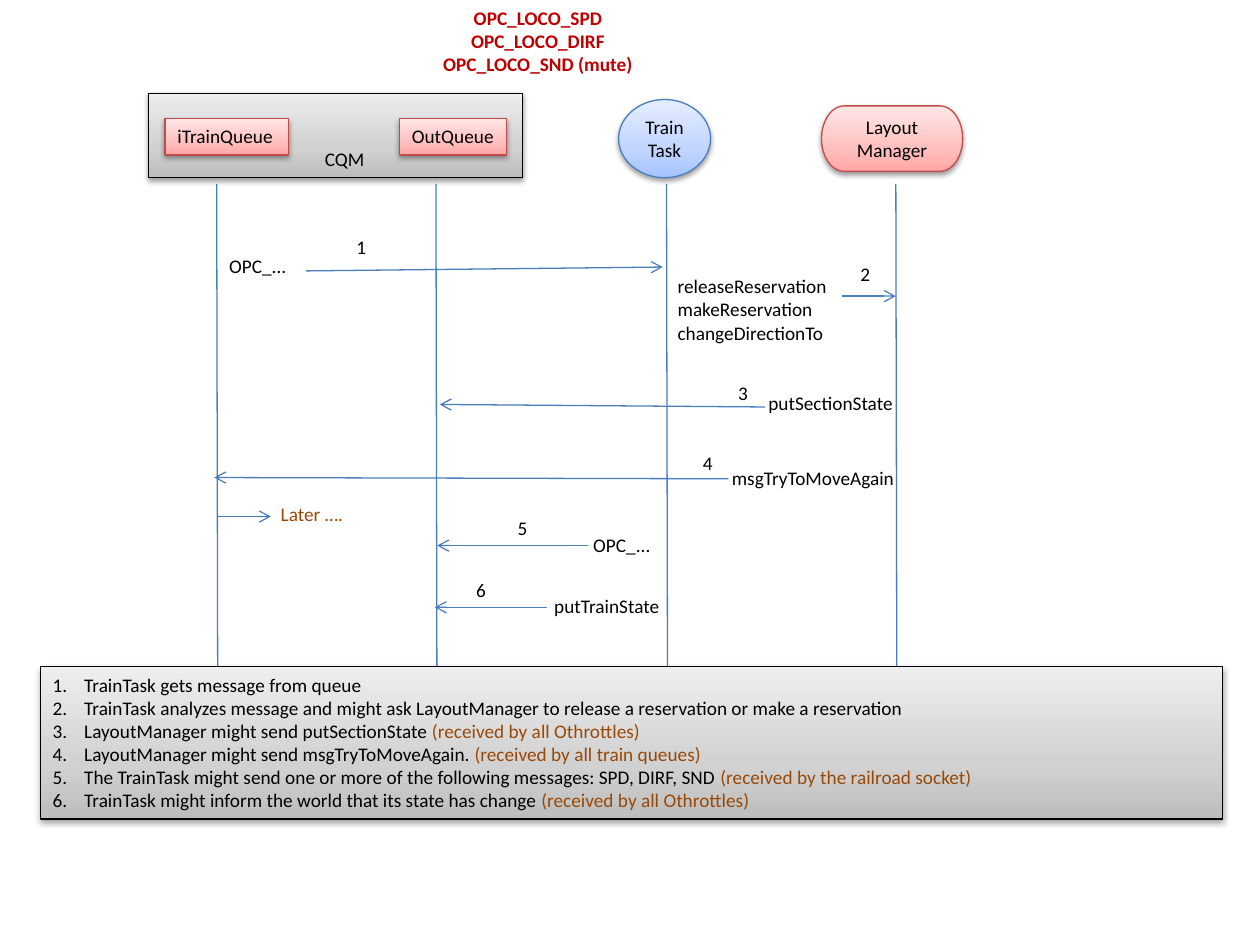
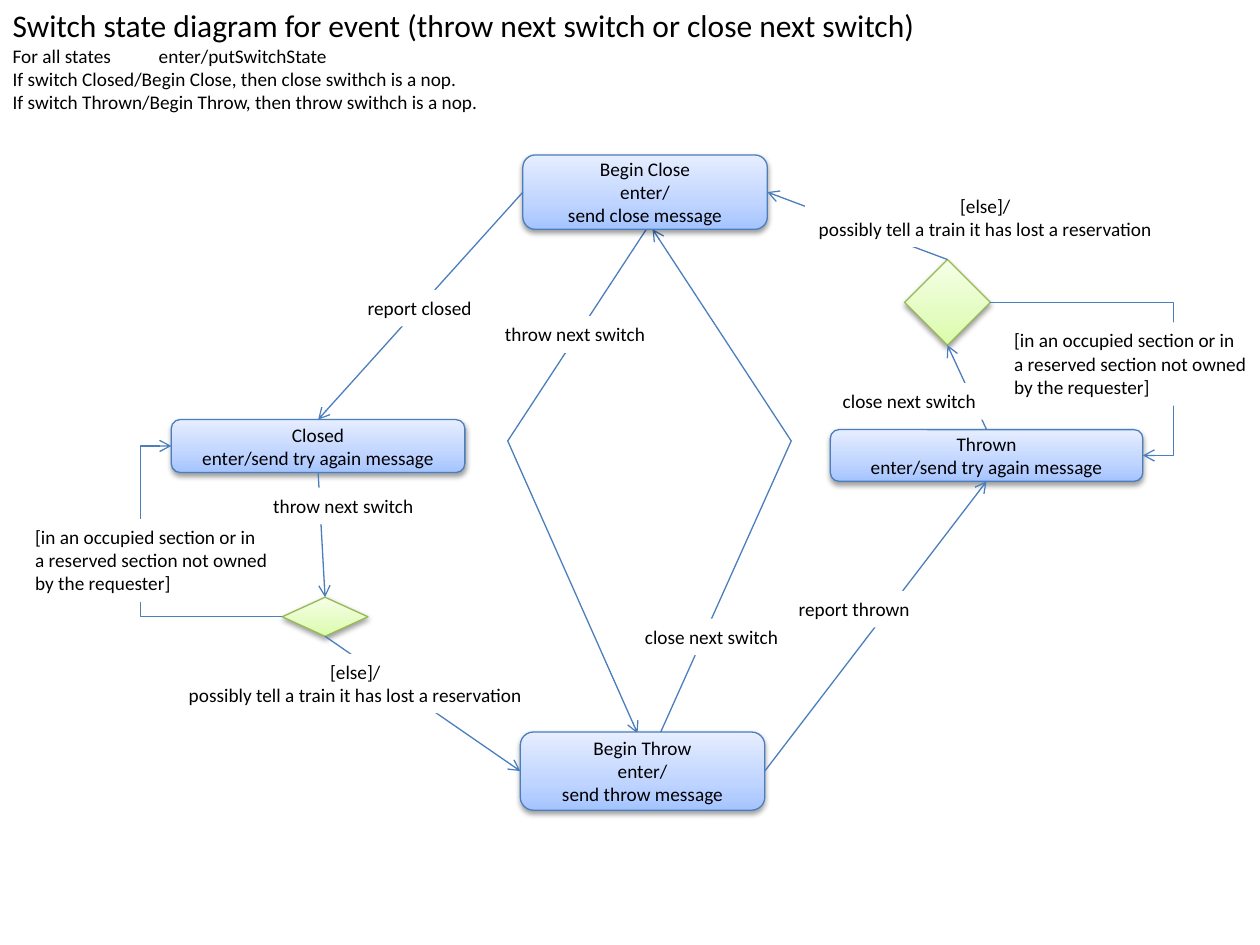
from copy import deepcopy

from lxml.etree import SubElement
from pptx import Presentation
from pptx.dml.color import RGBColor
from pptx.enum.shapes import MSO_CONNECTOR, MSO_SHAPE
from pptx.enum.text import MSO_ANCHOR, MSO_AUTO_SIZE, PP_ALIGN
from pptx.oxml.ns import qn
from pptx.util import Inches, Pt

FONT = "Calibri"
BODY_SIZE = 11
BLACK, WHITE, RED, BROWN, BLUE = "000000", "FFFFFF", "C00000", "984807", "4B7EBC"

# Outline colour, then gradient colours from the bottom of the shape to its top
GREY_STYLE = (BLACK, ("BDBDBD", "D1D1D1", "EEEEEE"))
RED_STYLE = ("BF4C48", ("FFA6A5", "FFC0BF", "FFE7E7"))
BLUE_STYLE = (BLUE, ("A4C4FF", "BFD4FF", "E6EEFF"))
GREEN_STYLE = ("98B955", ("DAFDA7", "E4FCC2", "F5FFE7"))
GRADIENT_POSITIONS = (0, 0.35, 1)

TOP, LEFT, BOTTOM, RIGHT = range(4)


def color(hex_text):
    return RGBColor.from_string(hex_text)


def inches(values):
    return [Inches(value) for value in values]


class DiagramDeck:
    """Holds the deck, its style and the slide being drawn."""

    def __init__(self):
        self.deck = Presentation()
        self.deck.slide_width, self.deck.slide_height = Inches(10), Inches(7.5)
        self.page = None

    def new_page(self):
        self.page = self.deck.slides.add_slide(self.deck.slide_layouts[5])

    def fill_text(self, shape, lines, align=PP_ALIGN.LEFT, anchor=MSO_ANCHOR.TOP,
                  wrap=True, fit=False, ink=BLACK, bold=False):
        """Each line is a string, or a list of (text, colour) spans."""
        frame = shape.text_frame
        frame.word_wrap = wrap
        frame.vertical_anchor = anchor
        frame.auto_size = MSO_AUTO_SIZE.SHAPE_TO_FIT_TEXT if fit else MSO_AUTO_SIZE.NONE
        for index, line in enumerate(lines):
            para = frame.add_paragraph() if index else frame.paragraphs[0]
            para.alignment = align
            para.font.name, para.font.size, para.font.bold = FONT, Pt(BODY_SIZE), bold
            para.font.color.rgb = color(ink)
            for text, span_ink in [(line, ink)] if isinstance(line, str) else line:
                span = para.add_run()
                span.text = text
                if span_ink != ink:
                    span.font.color.rgb = color(span_ink)
        return frame.paragraphs

    def title(self, area, lines, **text_style):
        box = self.page.shapes.title
        box.left, box.top, box.width, box.height = inches(area)
        return self.fill_text(box, lines, **text_style)

    def label(self, area, *lines, wrap=False, back=None, **text_style):
        box = self.page.shapes.add_textbox(*inches(area))
        if back:
            box.fill.solid()
            box.fill.fore_color.rgb = color(back)
        self.fill_text(box, lines, wrap=wrap, fit=True, **text_style)

    def node(self, kind, area, style, *lines, align=PP_ALIGN.CENTER,
             anchor=MSO_ANCHOR.MIDDLE, **text_style):
        shape = self.page.shapes.add_shape(kind, *inches(area))
        outline, shades = style
        shape.line.color.rgb = color(outline)
        shape.line.width = Pt(0.75)
        # Three-stop gradient running upwards
        shape.fill.gradient()
        shape.fill.gradient_angle = 90
        stops = shape.element.spPr.find(".//" + qn("a:gsLst"))
        stops.insert(1, deepcopy(stops[0]))
        for stop, shade, position in zip(shape.fill.gradient_stops, shades, GRADIENT_POSITIONS):
            stop.color.rgb = color(shade)
            stop.position = position
        # Soft shadow below
        shape.shadow.inherit = False
        effects = shape.element.spPr.find(qn("a:effectLst"))
        shadow = SubElement(effects, qn("a:outerShdw"), blurRad="40000", dist="20000",
                            dir="5400000", rotWithShape="0")
        black = SubElement(shadow, qn("a:srgbClr"), val=BLACK)
        SubElement(black, qn("a:alpha"), val="38000")
        if lines:
            return shape, self.fill_text(shape, lines, align, anchor, **text_style)
        return shape, []

    def stroke(self, shape, arrow):
        shape.line.color.rgb = color(BLUE)
        shape.line.width = Pt(0.75)
        if arrow:
            outline = shape.element.spPr.find(qn("a:ln"))
            SubElement(outline, qn("a:tailEnd"), type="arrow")
        SubElement(shape.element.spPr, qn("a:effectLst"))

    def line(self, start, end, arrow=True):
        connector = self.page.shapes.add_connector(
            MSO_CONNECTOR.STRAIGHT, *inches(start + end))
        self.stroke(connector, arrow)

    def link(self, source, source_side, target, target_side, bend=None):
        """Join two shapes; bend is the elbow's reach as a share of its width."""
        kind = MSO_CONNECTOR.ELBOW if bend else MSO_CONNECTOR.STRAIGHT
        connector = self.page.shapes.add_connector(kind, 0, 0, 0, 0)
        connector.begin_connect(source, source_side)
        connector.end_connect(target, target_side)
        if bend:
            guides = connector.element.spPr.find(".//" + qn("a:avLst"))
            SubElement(guides, qn("a:gd"), name="adj1", fmla=f"val {round(bend * 100000)}")
        self.stroke(connector, True)

    def bent_arrow(self, *points):
        start, *rest = [tuple(inches(point)) for point in points]
        builder = self.page.shapes.build_freeform(*start)
        builder.add_line_segments(rest, close=False)
        shape = builder.convert_to_shape()
        shape.fill.background()
        self.stroke(shape, True)

    def number(self, paragraphs):
        for para in paragraphs:
            properties = para._p.get_or_add_pPr()
            properties.set("marL", str(Inches(0.25)))
            properties.set("indent", str(-Inches(0.25)))
            SubElement(properties, qn("a:buFont"), typeface="+mj-lt")
            SubElement(properties, qn("a:buAutoNum"), type="arabicPeriod")
            # Bullets come before the default run properties
            properties.append(properties.find(qn("a:defRPr")))


def build_message_sequence(diagram):
    diagram.new_page()
    diagram.title((2.51, 0, 3.52, 0.66),
                  ["OPC_LOCO_SPD", "OPC_LOCO_DIRF", "OPC_LOCO_SND (mute)"],
                  align=PP_ALIGN.CENTER, ink=RED, bold=True)

    # Participants
    diagram.node(MSO_SHAPE.RECTANGLE, (1.18, 0.74, 2.97, 0.67), GREY_STYLE)
    diagram.node(MSO_SHAPE.FLOWCHART_TERMINATOR, (6.52, 0.84, 1.12, 0.52), RED_STYLE,
                 "Layout", "Manager")
    diagram.node(MSO_SHAPE.FLOWCHART_CONNECTOR, (4.91, 0.79, 0.73, 0.62), BLUE_STYLE,
                 "Train", "Task")
    for left, width, queue in ((1.31, 0.98, "iTrainQueue"), (3.17, 0.85, "OutQueue")):
        diagram.node(MSO_SHAPE.RECTANGLE, (left, 0.94, width, 0.29), RED_STYLE, queue,
                     align=PP_ALIGN.LEFT, anchor=MSO_ANCHOR.TOP, wrap=False, fit=True)
    diagram.label((2.48, 1.12, 0.52, 0.29), "CQM")

    # Lifelines
    for x in (1.72, 3.46, 5.29, 7.11):
        diagram.line((x, 1.46), (x + 0.01, 6.46), arrow=False)

    # Message arrows
    for start, end in (
        ((2.43, 2.15), (5.26, 2.12)),
        ((6.68, 2.35), (7.11, 2.35)),
        ((6.07, 3.23), (3.49, 3.21)),
        ((5.78, 3.8), (1.7, 3.79)),
        ((4.67, 4.33), (3.47, 4.33)),
        ((4.34, 4.82), (3.45, 4.82)),
        ((1.73, 4.1), (2.15, 4.1)),
    ):
        diagram.line(start, end)

    # Step numbers
    steps = ((2.73, 1.82), (6.73, 2.03), (5.76, 2.98), (5.48, 3.53), (4.01, 4.05), (3.68, 4.54))
    for number, (left, top) in enumerate(steps, 1):
        diagram.label((left, top, 0.28, 0.29), str(number))

    # Message names
    for left, top, width, name in (
        (1.72, 1.97, 0.66, "OPC_..."),
        (6, 3.06, 1.2, "putSectionState"),
        (5.71, 3.65, 1.52, "msgTryToMoveAgain"),
        (4.61, 4.18, 0.66, "OPC_..."),
        (4.3, 4.67, 1.06, "putTrainState"),
    ):
        diagram.label((left, top, width, 0.29), name)
    diagram.label((5.28, 2.13, 1.4, 0.66),
                  "releaseReservation", "makeReservation", "changeDirectionTo")
    diagram.label((2.13, 3.94, 0.7, 0.29), "Later ….", ink=BROWN)

    # Numbered explanation
    explanation = [
        ("TrainTask gets message from queue", ""),
        ("TrainTask analyzes message and might ask LayoutManager to release a reservation "
         "or make a reservation", ""),
        ("LayoutManager might send putSectionState ", "(received by all Othrottles)"),
        ("LayoutManager might send msgTryToMoveAgain. ", "(received by all train queues)"),
        ("The TrainTask might send one or more of the following messages: SPD, DIRF, SND ",
         "(received by the railroad socket)"),
        ("TrainTask might inform the world that its state has change ",
         "(received by all Othrottles)"),
    ]
    lines = [[(action, BLACK), (receiver, BROWN)] if receiver else action
             for action, receiver in explanation]
    _, paragraphs = diagram.node(MSO_SHAPE.RECTANGLE, (0.32, 5.29, 9.38, 1.21), GREY_STYLE,
                                 *lines, align=PP_ALIGN.LEFT, anchor=MSO_ANCHOR.TOP, fit=True)
    diagram.number(paragraphs)


def build_switch_states(diagram):
    diagram.new_page()
    heading, all_states, *_ = diagram.title((0, 0, 7.44, 0.96), [
        "Switch state diagram for event (throw next switch or close next switch)",
        "For all states\tenter/putSwitchState",
        "If switch Closed/Begin Close, then close swithch is a nop.",
        "If switch Thrown/Begin Throw, then throw swithch is a nop.",
    ], wrap=False)
    heading.font.size = Pt(18)
    properties = all_states._p.get_or_add_pPr()
    tabs = SubElement(properties, qn("a:tabLst"))
    SubElement(tabs, qn("a:tab"), pos=str(Inches(1.16)), algn="l")
    properties.append(properties.find(qn("a:defRPr")))

    # Long paths between the two transient states
    diagram.bent_arrow((5.13, 1.82), (4.03, 3.5), (5.06, 5.82))
    diagram.bent_arrow((5.24, 5.82), (6.28, 3.5), (5.18, 1.82))

    # States and decisions
    def state(area, *lines):
        return diagram.node(MSO_SHAPE.ROUNDED_RECTANGLE, area, BLUE_STYLE, *lines)[0]

    def decision(area):
        return diagram.node(MSO_SHAPE.FLOWCHART_DECISION, area, GREEN_STYLE)[0]

    try_again = "enter/send try again message"
    closed = state((1.36, 3.33, 2.33, 0.42), "Closed", try_again)
    thrown = state((6.59, 3.41, 2.48, 0.41), "Thrown", try_again)
    begin_close = state((4.15, 1.23, 1.94, 0.59), "Begin Close", "enter/", "send close message")
    begin_throw = state((4.13, 5.81, 1.94, 0.62), "Begin Throw", "enter/", "send throw message")
    throw_check = decision((2.24, 4.74, 0.68, 0.31))
    close_check = decision((7.18, 2.06, 0.68, 0.68))

    # Transitions
    diagram.link(begin_throw, RIGHT, thrown, BOTTOM)
    diagram.link(begin_close, LEFT, closed, TOP)
    diagram.link(thrown, TOP, close_check, BOTTOM)
    diagram.link(closed, BOTTOM, throw_check, TOP)
    diagram.link(close_check, TOP, begin_close, RIGHT)
    diagram.link(throw_check, BOTTOM, begin_throw, LEFT)
    diagram.link(close_check, RIGHT, thrown, RIGHT, bend=1.2)
    diagram.link(throw_check, LEFT, closed, LEFT, bend=1.28)

    # Transition names, which interrupt the lines behind them
    for left, top, width, name in (
        (6.24, 4.69, 1.09, "report thrown"),
        (2.82, 2.3, 1.03, "report closed"),
        (5.02, 4.91, 1.27, "close next switch"),
        (3.91, 2.51, 1.33, "throw next switch"),
        (2.07, 3.87, 1.33, "throw next switch"),
    ):
        diagram.label((left, top, width, 0.29), name, back=WHITE)
    diagram.label((6.59, 3.04, 1.63, 0.29), "close next switch", wrap=True, back=WHITE)
    for left, top in ((1.39, 5.19), (6.39, 1.49)):
        diagram.label((left, top, 2.86, 0.47), "[else]/",
                      "possibly tell a train it has lost a reservation",
                      back=WHITE, align=PP_ALIGN.CENTER)
    for left, top in ((0.18, 4.12), (7.95, 2.56)):
        diagram.label((left, top, 2.05, 0.66),
                      "[in an occupied section or in a reserved section not owned "
                      "by the requester]", wrap=True, back=WHITE)


def main():
    diagram = DiagramDeck()
    build_message_sequence(diagram)
    build_switch_states(diagram)
    diagram.deck.save("out.pptx")


if __name__ == "__main__":
    main()
